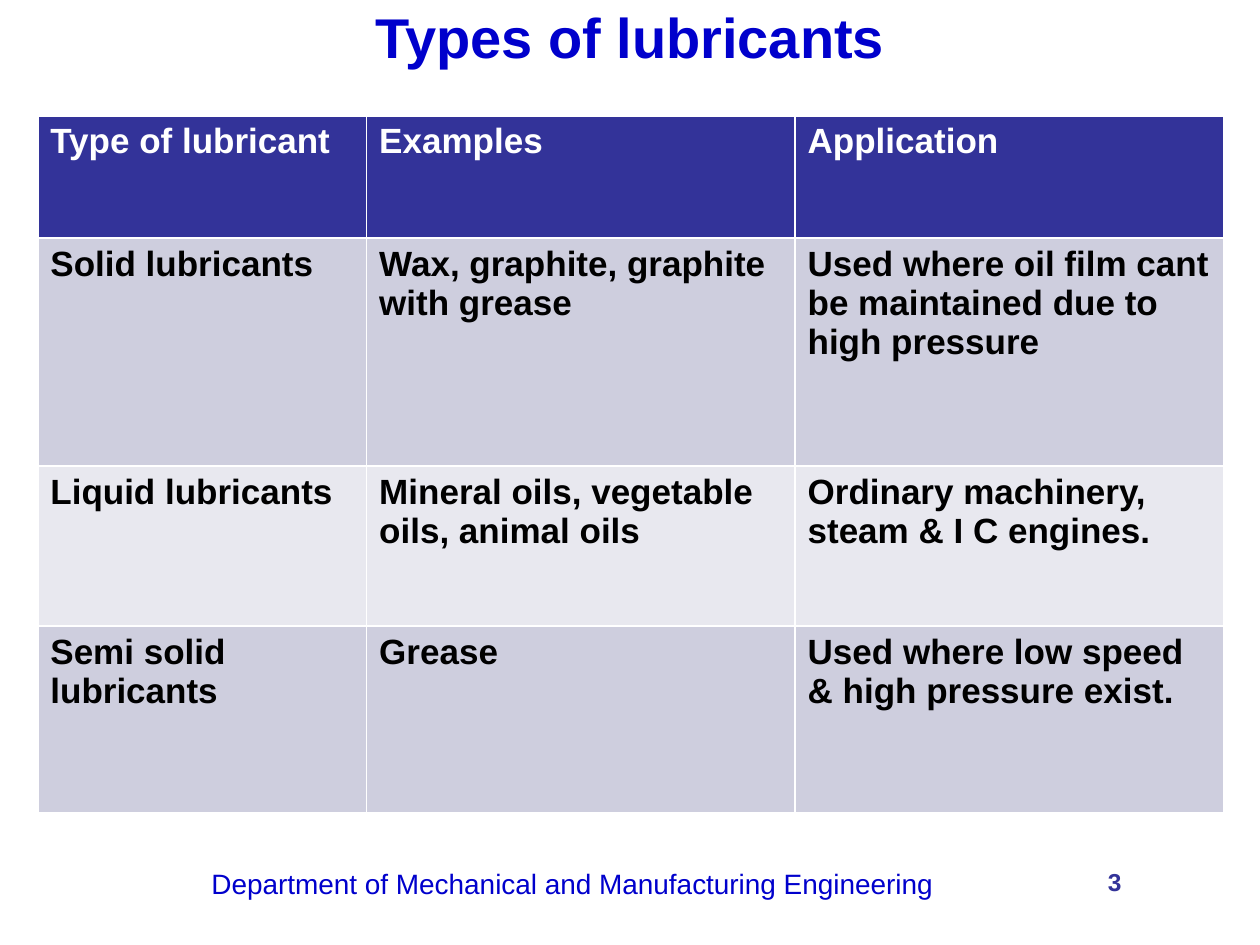
from pptx import Presentation
from pptx.dml.color import RGBColor
from pptx.enum.text import MSO_ANCHOR, MSO_AUTO_SIZE, PP_ALIGN
from pptx.util import Inches, Pt

TOP = MSO_ANCHOR.TOP
NO_FIT = MSO_AUTO_SIZE.NONE
LEFT, CENTER, RIGHT = PP_ALIGN.LEFT, PP_ALIGN.CENTER, PP_ALIGN.RIGHT

FONT = "Arial"
TITLE_ONLY = 5
COLORS = {
    "blue": "0000CC",
    "navy": "333399",
    "white": "FFFFFF",
    "black": "000000",
    "dark_band": "CECEDE",
    "light_band": "E8E8EF",
}
COLUMN_WIDTHS = [2.61, 3.4, 3.4]
ROW_HEIGHTS = [0.97, 1.81, 1.27, 1.48]
LUBRICANTS = [
    ("Type of lubricant", "Examples", "Application"),
    ("Solid lubricants", "Wax, graphite, graphite with grease",
     "Used where oil film cant be maintained due to high pressure"),
    ("Liquid lubricants", "Mineral oils, vegetable oils, animal oils",
     "Ordinary machinery, steam & I C engines."),
    ("Semi solid lubricants", "Grease",
     "Used where low speed & high pressure exist."),
]


def color(name):
    return RGBColor.from_string(COLORS[name])


def write(frame, text, size, color_name, bold=False, align=LEFT):
    frame.word_wrap = True
    para = frame.paragraphs[0]
    para.text = text
    para.alignment = align
    para.font.name = FONT
    para.font.size = Pt(size)
    para.font.bold = bold
    para.font.color.rgb = color(color_name)


def add_title(page, text):
    title = page.shapes.title
    title.left, title.top = Inches(0.5), Inches(0)
    title.width, title.height = Inches(9), Inches(1.25)
    frame = title.text_frame
    frame.auto_size = NO_FIT
    frame.vertical_anchor = TOP
    frame.margin_top = Inches(0.02)
    write(frame, text, 32, "blue", bold=True, align=CENTER)


def row_style(row):
    if row == 0:
        return "navy", "white"
    return ("dark_band" if row % 2 else "light_band"), "black"


def add_lubricant_table(page):
    table = page.shapes.add_table(
        len(ROW_HEIGHTS), len(COLUMN_WIDTHS), Inches(0.3), Inches(0.92),
        Inches(sum(COLUMN_WIDTHS)), Inches(sum(ROW_HEIGHTS))).table
    for column, width in zip(table.columns, COLUMN_WIDTHS):
        column.width = Inches(width)
    for index, (row, height) in enumerate(zip(table.rows, ROW_HEIGHTS)):
        row.height = Inches(height)
        fill, ink = row_style(index)
        for cell, text in zip(row.cells, LUBRICANTS[index]):
            cell.fill.solid()
            cell.fill.fore_color.rgb = color(fill)
            write(cell.text_frame, text, 20, ink, bold=True)


def add_label(page, left, width, height, text, size, color_name, **style):
    box = page.shapes.add_textbox(
        Inches(left), Inches(6.83), Inches(width), Inches(height))
    write(box.text_frame, text, size, color_name, **style)


def main():
    deck = Presentation()
    deck.slide_width, deck.slide_height = Inches(10), Inches(7.5)
    page = deck.slides.add_slide(deck.slide_layouts[TITLE_ONLY])
    add_title(page, "Types of lubricants")
    add_lubricant_table(page)
    add_label(page, 6.67, 2.33, 0.52, "3", 14, "navy", bold=True, align=RIGHT)
    add_label(page, 1.58, 6.83, 0.35,
              "Department of Mechanical and Manufacturing Engineering", 16, "blue")
    deck.save("out.pptx")


if __name__ == "__main__":
    main()
